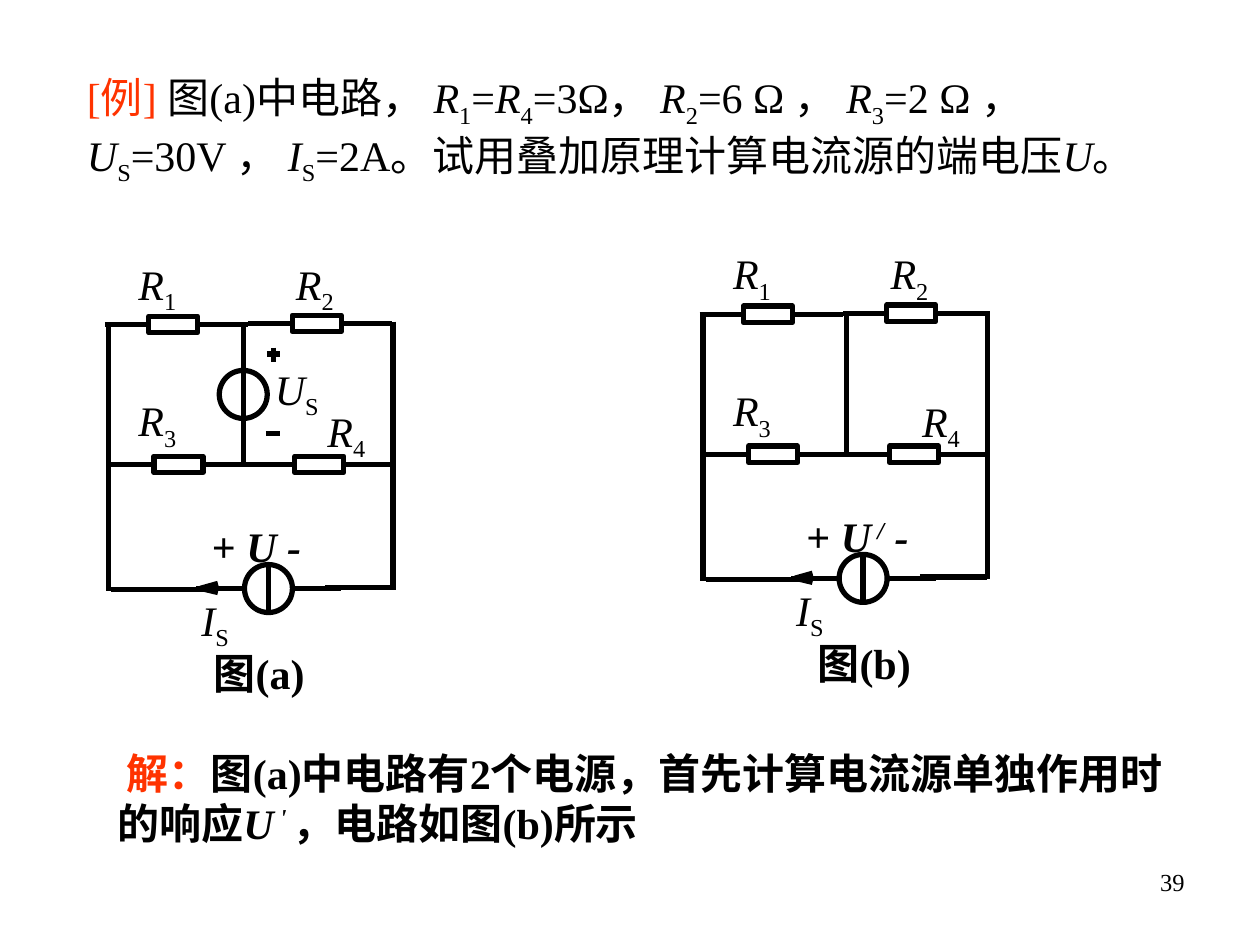
"""Build the slide on superposition with two circuit diagrams."""
from dataclasses import dataclass
from typing import NamedTuple

from lxml import etree
from pptx import Presentation
from pptx.dml.color import RGBColor
from pptx.enum.shapes import MSO_CONNECTOR, MSO_SHAPE
from pptx.enum.text import MSO_ANCHOR, MSO_AUTO_SIZE, PP_ALIGN
from pptx.oxml.ns import qn
from pptx.util import Pt

BLACK = RGBColor(0x00, 0x00, 0x00)
WHITE = RGBColor(0xFF, 0xFF, 0xFF)
RED = RGBColor(0xFF, 0x33, 0x00)
FONT = "Times New Roman"
LEFT, MID, RIGHT = PP_ALIGN.LEFT, PP_ALIGN.CENTER, PP_ALIGN.RIGHT
TOP = MSO_ANCHOR.TOP
FIXED = MSO_AUTO_SIZE.NONE
RECT, OVAL = MSO_SHAPE.RECTANGLE, MSO_SHAPE.OVAL
LINE = MSO_CONNECTOR.STRAIGHT
SUB, SUP = -25, 30


class Bit(NamedTuple):
    text: str
    ital: bool = False
    base: int = 0
    color: RGBColor = BLACK


class Wire(NamedTuple):
    x1: float
    y1: float
    x2: float
    y2: float


class Symbol(NamedTuple):
    kind: int
    x: float
    y: float
    w: float
    h: float


@dataclass
class Label:
    x: float
    y: float
    w: float
    bits: list[Bit]
    h: float = 36
    bold: bool = False
    align: int = LEFT
    size: float = 24


@dataclass
class Plan:
    dx: float
    dy: float
    wires: list[Wire]
    symbols: list[Symbol]
    marks: list[Wire]
    labels: list[Label]


def sym(name: str, sub: str) -> list[Bit]:
    """Return an italic letter with its subscript."""
    return [Bit(name, True), Bit(sub, base=SUB)]


def resist(x: float, y: float) -> Symbol:
    """Return a resistor centred on a point."""
    return Symbol(RECT, x - 14, y - 4.7, 28, 9.4)


def source(x: float, y: float) -> Symbol:
    """Return a source circle centred on a point."""
    return Symbol(OVAL, x - 13.7, y - 13.7, 27.4, 27.4)


def write(box, label: Label) -> None:
    """Place a text shape and fill it run by run."""
    box.left, box.top = Pt(label.x), Pt(label.y)
    box.width, box.height = Pt(label.w), Pt(label.h)
    frame = box.text_frame
    frame.word_wrap = True
    frame.auto_size = FIXED
    frame.vertical_anchor = TOP
    para = frame.paragraphs[0]
    para.alignment = label.align
    for bit in label.bits:
        run = para.add_run()
        run.text = bit.text
        font = run.font
        font.name, font.size = FONT, Pt(label.size)
        font.bold, font.italic = label.bold, bit.ital
        font.color.rgb = bit.color
        if bit.base:
            run._r.get_or_add_rPr().set("baseline", str(bit.base * 1000))


def add_text(shapes, label: Label) -> None:
    """Add a text box for a label."""
    write(shapes.add_textbox(0, 0, 0, 0), label)


def add_wire(shapes, wire: Wire, dx: float, dy: float) -> None:
    """Draw one straight wire."""
    line = shapes.add_connector(LINE, Pt(wire.x1 + dx), Pt(wire.y1 + dy),
                                Pt(wire.x2 + dx), Pt(wire.y2 + dy))
    line.line.color.rgb = BLACK
    line.line.width = Pt(3)
    etree.SubElement(line._element.spPr, qn("a:effectLst"))


def add_symbol(shapes, item: Symbol, dx: float, dy: float) -> None:
    """Draw a resistor or a source."""
    shape = shapes.add_shape(item.kind, Pt(item.x + dx), Pt(item.y + dy),
                             Pt(item.w), Pt(item.h))
    shape.shadow.inherit = False
    shape.fill.solid()
    shape.fill.fore_color.rgb = WHITE
    shape.line.color.rgb = BLACK
    shape.line.width = Pt(3)


def draw(slide, plan: Plan) -> None:
    """Draw the shared circuit with the plan's own items as a group."""
    shapes = slide.shapes.add_group_shape().shapes
    dx, dy = plan.dx, plan.dy
    for wire in WIRES + plan.wires:
        add_wire(shapes, wire, dx, dy)
    for item in SYMBOLS + plan.symbols:
        add_symbol(shapes, item, dx, dy)
    for wire in MARKS + plan.marks:
        add_wire(shapes, wire, dx, dy)
    for label in LABELS + plan.labels:
        add_text(shapes, Label(label.x + dx, label.y + dy, label.w,
                               label.bits, bold=label.bold, align=label.align))


WIRES = [Wire(60, 185.6, 142, 185.6), Wire(142, 185, 224, 185),
         Wire(62.6, 265.6, 144.7, 265.6), Wire(143.3, 265.6, 225.4, 265.6),
         Wire(112.3, 336.2, 195, 336.2), Wire(62, 185, 62, 337.6),
         Wire(185.8, 335.6, 224, 335.6), Wire(63.4, 336.9, 118, 336.9),
         Wire(224.6, 183.8, 224.6, 336.9)]
SYMBOLS = [resist(99, 185.4), resist(181, 184.8), resist(102, 265.4),
           resist(182.5, 265.4), source(153.4, 336.3)]
MARKS = [Wire(153.4, 350, 153.4, 323.3), Wire(114.5, 336.2, 124.5, 338.6),
         Wire(114.5, 336.2, 124.5, 333.4), Wire(114.5, 336.2, 134.6, 336.2)]
LABELS = [Label(72, 144, 60, sym("R", "1")), Label(162, 144, 60, sym("R", "2")),
          Label(72, 222, 60, sym("R", "3")), Label(180, 228, 48, sym("R", "4")),
          Label(108, 336, 48, sym("I", "S"))]

PLANS = [
    Plan(0, 0, [], [source(139, 225.4)],
         [Wire(139, 184.3, 139, 267), Wire(152.5, 202.3, 159.8, 202.3),
          Wire(152, 247.7, 159.8, 247.7), Wire(156.2, 198.7, 156.2, 206.6)],
         [Label(150, 204, 60, sym("U", "S")),
          Label(114, 294, 78, [Bit("+ "), Bit("U -", True)], bold=True),
          Label(82, 366.5, 132, [Bit("图(a)")], bold=True, align=MID)]),
    Plan(339.8, -5.8, [Wire(144, 186.5, 144, 264.3)], [], [],
         [Label(114, 294, 78, [Bit("+ "), Bit("U", True), Bit(" /", True, SUP),
                               Bit(" -", True)], bold=True),
          Label(88, 366.5, 132, [Bit("图(b)")], bold=True, align=MID)]),
]

TASK = Label(42.5, 37.5, 653.8, [
    Bit("[例] ", color=RED), Bit("图(a)中电路， "), *sym("R", "1"), Bit("="),
    *sym("R", "4"), Bit("=3Ω， "), *sym("R", "2"), Bit("=6 Ω ， "),
    *sym("R", "3"), Bit("=2 Ω ，"), *sym("U", "S"), Bit("=30V ， "),
    *sym("I", "S"), Bit("=2A。试用叠加原理计算电流源的端电压"),
    Bit("U", True), Bit("。")], h=65.5)
SOLVE = Label(60, 423.4, 630, [
    Bit(" 解：", color=RED),
    Bit("图(a)中电路有2个电源，首先计算电流源单独作用时的响应"),
    Bit("U", True), Bit(" ' ", True, SUP), Bit("，电路如图(b)所示")],
    h=65.5, bold=True)
PAGE = Label(516, 492, 168, [Bit("39")], h=37.5, align=RIGHT, size=14)


def main() -> None:
    """Build and save the deck."""
    deck = Presentation()
    deck.slide_width, deck.slide_height = Pt(720), Pt(540)
    slide = deck.slides.add_slide(deck.slide_layouts[5])
    write(slide.shapes.title, TASK)
    for label in (PAGE, SOLVE):
        add_text(slide.shapes, label)
    for plan in PLANS:
        draw(slide, plan)
    deck.save("out.pptx")


if __name__ == "__main__":
    main()
